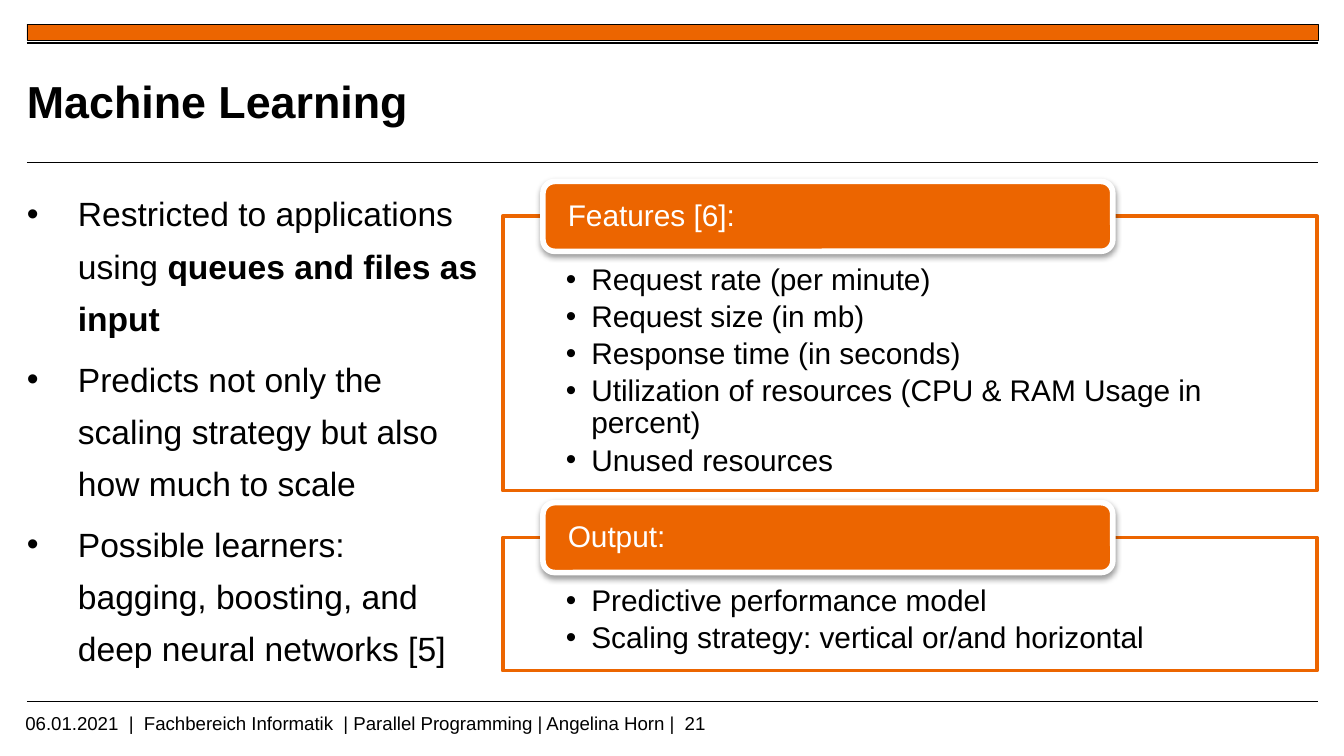
"""Build the Machine Learning slide with bullets and two labelled panels."""
from lxml import etree
from pptx import Presentation
from pptx.dml.color import RGBColor
from pptx.enum import shapes, text
from pptx.oxml import ns
from pptx.util import Inches, Pt

ORANGE = RGBColor(0xEC, 0x65, 0x00)
BLACK = RGBColor(0, 0, 0)
WHITE = RGBColor(0xFF, 0xFF, 0xFF)
FONT = "Arial"

TITLE = "Machine Learning"
FOOTER = "06.01.2021  |  Fachbereich Informatik  | Parallel Programming | Angelina Horn |  21"
BULLETS = [
    ("Restricted to applications using ", "queues and files as input"),
    ("Predicts not only the scaling strategy but also how much to scale", ""),
    ("Possible learners: \vbagging, boosting, and deep neural networks [5]", ""),
]
PANELS = [
    ("Features [6]:", 1.61, 2.04, [
        "Request rate (per minute)",
        "Request size (in mb)",
        "Response time (in seconds)",
        "Utilization of resources (CPU & RAM Usage in percent)",
        "Unused resources",
    ]),
    ("Output:", 4, 0.99, [
        "Predictive performance model",
        "Scaling strategy: vertical or/and horizontal",
    ]),
]
SLIDE_WIDTH = Inches(10)
SLIDE_HEIGHT = SLIDE_WIDTH * 9 // 16
LEFT, RIGHT = 0.2, 9.81
RULES = [(0.32, 1.2), (1.21, 0.6), (5.22, 0.6)]
PANEL_LEFT, PANEL_WIDTH = 3.74, 6.06
TAB_LEFT, TAB_WIDTH, TAB_HEIGHT, TAB_RISE = 4.04, 4.24, 0.52, 0.26


def add_xml(parent, tag, **attrs):
    return etree.SubElement(parent, ns.qn(tag), attrs)


def set_frame(s, insets, anchor=text.MSO_ANCHOR.TOP):
    tf = s.text_frame
    tf.word_wrap = True
    tf.vertical_anchor = anchor
    tf.margin_left, tf.margin_top, tf.margin_right, tf.margin_bottom = map(Inches, insets)
    return tf


def style_run(r, size, color=BLACK, bold=False):
    r.font.name, r.font.size, r.font.bold = FONT, Pt(size), bold
    r.font.color.rgb = color


def style(p, size, color=BLACK, bold=False, spacing=1.0, before=0, after=0):
    p.alignment = text.PP_ALIGN.LEFT
    p.line_spacing = spacing
    p.space_before, p.space_after = Pt(before), Pt(after)
    for r in p.runs:
        style_run(r, size, color, bold)


def add_bullet(p, indent):
    pr = p._p.get_or_add_pPr()
    pr.set("marL", str(Inches(indent)))
    pr.set("indent", str(-Inches(indent)))
    add_xml(pr, "a:buFont", typeface=FONT)
    add_xml(pr, "a:buChar", char="•")


def next_paragraph(tf, i):
    return tf.add_paragraph() if i else tf.paragraphs[0]


def add_textbox(slide, box, insets, anchor=text.MSO_ANCHOR.TOP):
    return set_frame(slide.shapes.add_textbox(*map(Inches, box)), insets, anchor)


def add_box(slide, kind, box, fill, line, width):
    s = slide.shapes.add_shape(kind, *map(Inches, box))
    s.shadow.inherit = False
    s.fill.solid()
    s.fill.fore_color.rgb = fill
    s.line.color.rgb = line
    s.line.width = Pt(width)
    return s


def add_rule(slide, y, width):
    s = slide.shapes.add_connector(
        shapes.MSO_CONNECTOR.STRAIGHT, Inches(LEFT), Inches(y), Inches(RIGHT), Inches(y))
    s.line.color.rgb = BLACK
    s.line.width = Pt(width)
    add_xml(s._element.spPr, "a:effectLst")


def add_panel(slide, label, top, height, items):
    kind = shapes.MSO_SHAPE
    s = add_box(slide, kind.RECTANGLE, (PANEL_LEFT, top, PANEL_WIDTH, height), WHITE, ORANGE, 2)
    add_xml(s._element.spPr.find(".//" + ns.qn("a:srgbClr")), "a:alpha", val="90000")
    tf = set_frame(s, (0.47, 0.36, 0.47, 0.12))
    for i, item in enumerate(items):
        p = next_paragraph(tf, i)
        p.text = item
        style(p, 16, spacing=0.9, after=2.6)
        add_bullet(p, 0.19)

    tab = add_box(slide, kind.ROUNDED_RECTANGLE,
                  (TAB_LEFT, top - TAB_RISE, TAB_WIDTH, TAB_HEIGHT), ORANGE, WHITE, 3)
    effects = tab._element.spPr.find(ns.qn("a:effectLst"))
    shadow = add_xml(effects, "a:outerShdw", blurRad=str(Pt(3.1)), dist=str(Pt(1.6)),
                     dir="5400000", rotWithShape="0")
    add_xml(add_xml(shadow, "a:srgbClr", val=str(BLACK)), "a:alpha", val="38000")
    tf = set_frame(tab, (0.16, 0, 0.16, 0), text.MSO_ANCHOR.MIDDLE)
    tf.text = label
    style(tf.paragraphs[0], 16, WHITE, spacing=0.9)


def main():
    prs = Presentation()
    prs.slide_width, prs.slide_height = SLIDE_WIDTH, SLIDE_HEIGHT
    slide = prs.slides.add_slide(prs.slide_layouts[6])

    add_box(slide, shapes.MSO_SHAPE.RECTANGLE, (LEFT, 0.18, RIGHT - LEFT, 0.12),
            ORANGE, BLACK, 0.25)
    for y, width in RULES:
        add_rule(slide, y, width)

    tf = add_textbox(slide, (LEFT, 0.4, 7.48, 0.69), (0, 0, 0, 0), text.MSO_ANCHOR.MIDDLE)
    tf.text = TITLE
    style(tf.paragraphs[0], 24, bold=True)

    tf = add_textbox(slide, (0.09, 5.25, 7.95, 0.19), (0.1, 0.05, 0.1, 0.05))
    tf.text = FOOTER
    style(tf.paragraphs[0], 10)

    tf = add_textbox(slide, (LEFT, 1.3, 3.44, 3.75), (0, 0.05, 0, 0.05))
    for i, (plain, strong) in enumerate(BULLETS):
        p = next_paragraph(tf, i)
        p.text = plain
        style(p, 18, spacing=1.3, before=2, after=2.2)
        add_bullet(p, 0.38)
        if strong:
            r = p.add_run()
            r.text = strong
            style_run(r, 18, bold=True)

    for panel in PANELS:
        add_panel(slide, *panel)
    prs.save("out.pptx")


if __name__ == "__main__":
    main()
